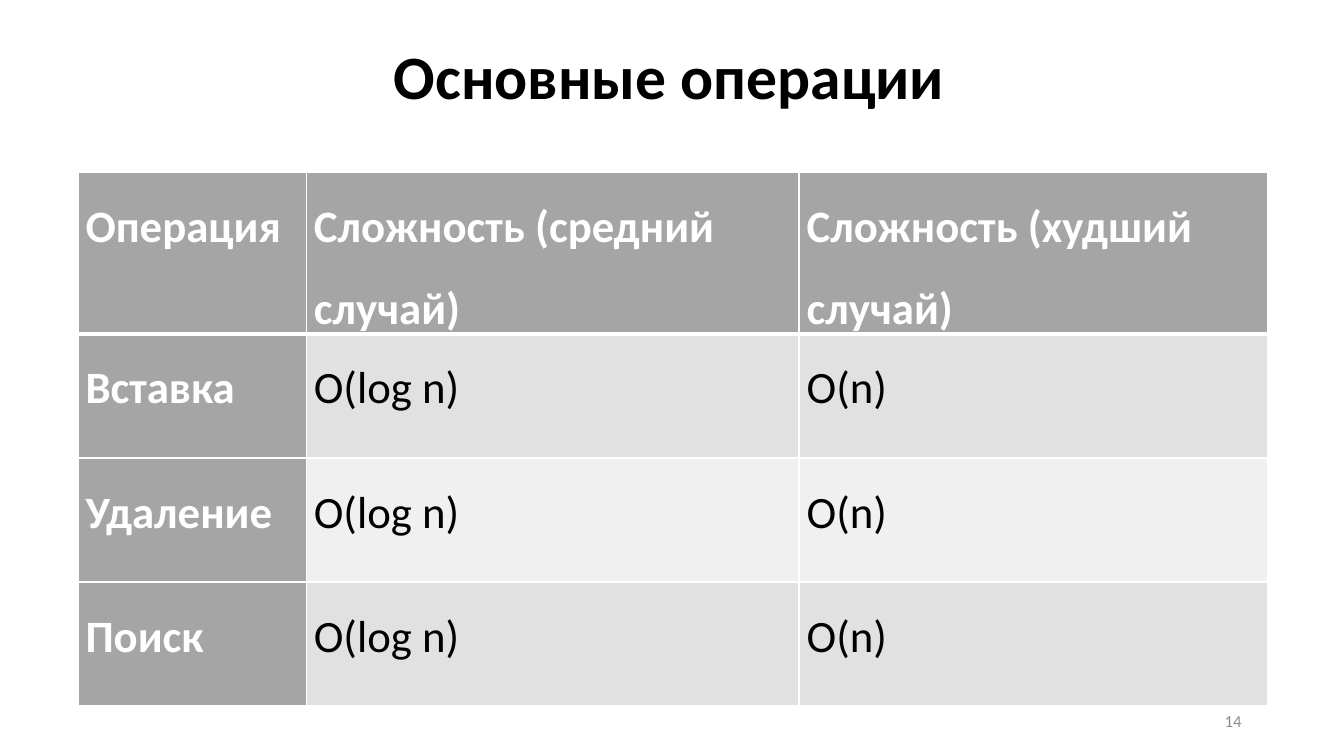
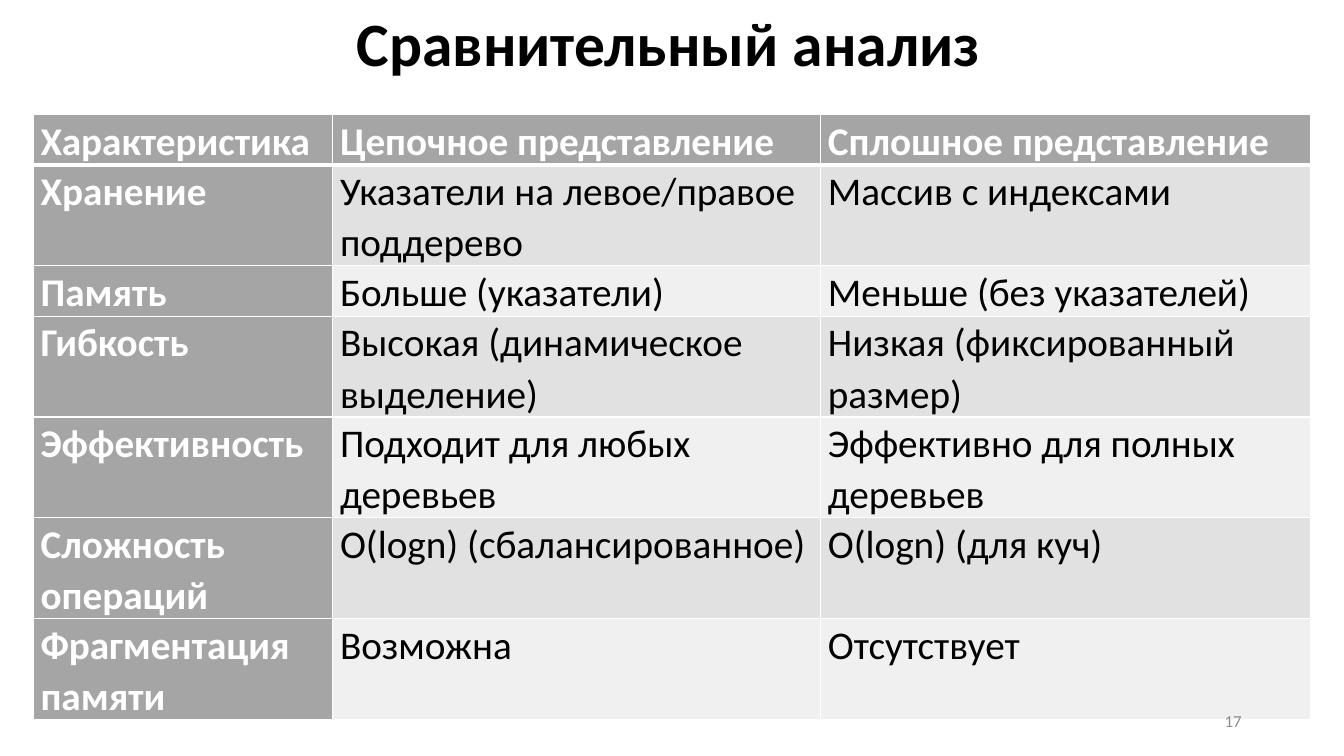
"""Build two slides comparing tree operations and tree representations."""
from lxml import etree
from pptx import Presentation
from pptx.dml.color import RGBColor
from pptx.enum.text import MSO_ANCHOR, MSO_AUTO_SIZE, PP_ALIGN
from pptx.oxml.ns import qn
from pptx.util import Pt

LEFT, RIGHT = PP_ALIGN.LEFT, PP_ALIGN.RIGHT
MIDDLE = MSO_ANCHOR.MIDDLE
GROW = MSO_AUTO_SIZE.SHAPE_TO_FIT_TEXT

FONT = "Calibri"
BLACK, WHITE = "000000", "FFFFFF"
HEADING_FILL = "A5A5A5"
BAND_FILLS = ["E1E1E1", "F0F0F0"]
PAGE_GREY = "8C8C8C"
TITLE_HEIGHT = 60.5


def write(frame, text, size, color, bold=False, align=LEFT, spacing=None):
    paragraph = frame.paragraphs[0]
    paragraph.alignment = align
    paragraph.line_spacing = spacing
    run = paragraph.add_run()
    run.text = text
    run.font.name = FONT
    run.font.size = Pt(size)
    run.font.bold = bold
    run.font.color.rgb = RGBColor.from_string(color)


def add_border(cell, side, width):
    line = etree.SubElement(cell._tc.get_or_add_tcPr(), qn(f"a:ln{side}"), w=str(Pt(width)))
    fill = etree.SubElement(line, qn("a:solidFill"))
    etree.SubElement(fill, qn("a:srgbClr"), val=WHITE)


slides = [
    {
        "title": "Основные операции", "title_box": (274.3, 23.8, 411.8), "page": "14",
        "table_corner": (55.7, 123.3), "columns": [163.1, 352, 334.5],
        "row_heights": [115] + [88.6] * 3, "size": 32, "spacing": 1.5,
        "rows": [
            ["Операция", "Сложность (средний случай)", "Сложность (худший случай)"],
            ["Вставка", "O(log n)", "O(n)"],
            ["Удаление", "O(log n)", "O(n)"],
            ["Поиск", "O(log n)", "O(n)"],
        ],
    },
    {
        "title": "Сравнительный анализ", "title_box": (247.7, 0, 464.4), "page": "17",
        "table_corner": (23.6, 81.9), "columns": [213.9, 348.5, 350.3],
        "row_heights": [35.8, 71.8, 35.8] + [71.8] * 4, "size": 28, "spacing": 1.07,
        "rows": [
            ["Характеристика", "Цепочное представление", "Сплошное представление"],
            ["Хранение", "Указатели на левое/правое поддерево", "Массив с индексами"],
            ["Память", "Больше (указатели)", "Меньше (без указателей)"],
            ["Гибкость", "Высокая (динамическое выделение)", "Низкая (фиксированный размер)"],
            ["Эффективность", "Подходит для любых деревьев", "Эффективно для полных деревьев"],
            ["Сложность операций", "O(logn) (сбалансированное)", "O(logn) (для куч)"],
            ["Фрагментация памяти", "Возможна", "Отсутствует"],
        ],
    },
]

presentation = Presentation()
presentation.slide_width, presentation.slide_height = Pt(960), Pt(540)
blank = presentation.slide_layouts[6]

for content in slides:
    slide = presentation.slides.add_slide(blank)

    left, top, width = content["title_box"]
    title = slide.shapes.add_textbox(Pt(left), Pt(top), Pt(width), Pt(TITLE_HEIGHT)).text_frame
    title.word_wrap = False
    title.auto_size = GROW
    write(title, content["title"], size=44, color=BLACK, bold=True)

    rows, columns, heights = content["rows"], content["columns"], content["row_heights"]
    left, top = content["table_corner"]
    table = slide.shapes.add_table(len(rows), len(columns), Pt(left), Pt(top),
                                   Pt(sum(columns)), Pt(sum(heights))).table
    table.first_col = True
    for column, width in zip(table.columns, columns):
        column.width = Pt(width)
    for row_index, (row, height) in enumerate(zip(rows, heights)):
        table.rows[row_index].height = Pt(height)
        for column_index, text in enumerate(row):
            cell = table.cell(row_index, column_index)
            heading = row_index == 0 or column_index == 0
            cell.margin_left = cell.margin_right = Pt(5.4)
            cell.margin_top = cell.margin_bottom = Pt(0)
            add_border(cell, "L", 1)
            add_border(cell, "R", 1)
            add_border(cell, "T", 3 if row_index == 1 else 1)
            add_border(cell, "B", 3 if row_index == 0 else 1)
            cell.fill.solid()
            cell.fill.fore_color.rgb = RGBColor.from_string(
                HEADING_FILL if heading else BAND_FILLS[(row_index - 1) % 2])
            write(cell.text_frame, text, size=content["size"], bold=heading,
                  color=WHITE if heading else BLACK, spacing=content["spacing"])

    page_number = slide.shapes.add_textbox(Pt(678), Pt(500.5), Pt(216), Pt(28.75)).text_frame
    page_number.word_wrap = True
    page_number.vertical_anchor = MIDDLE
    write(page_number, content["page"], size=12, color=PAGE_GREY, align=RIGHT)

presentation.save("out.pptx")
